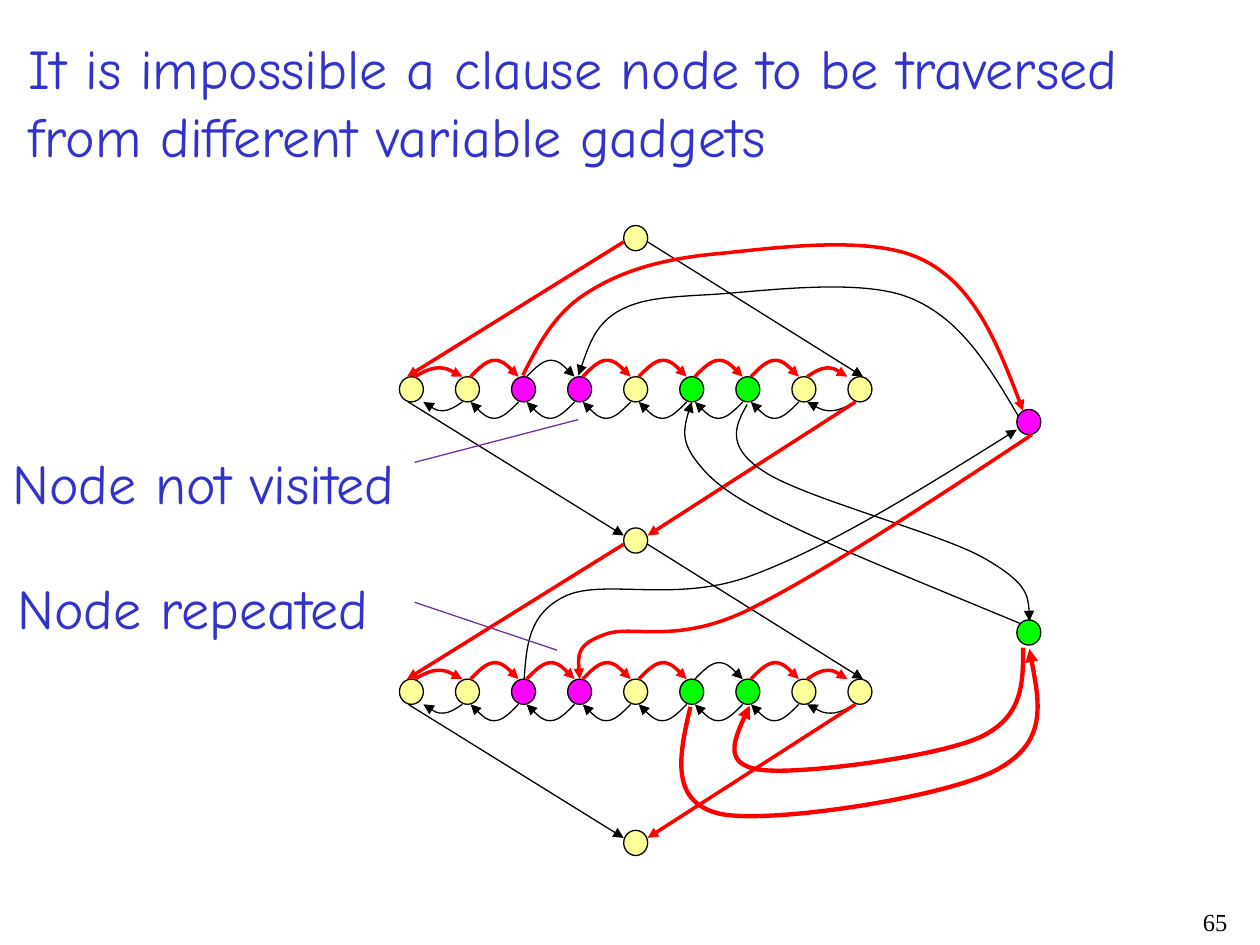
"""Build the slide on clause nodes and variable gadgets."""
import lxml.etree
import pptx
import pptx.dml.color
import pptx.enum.shapes
import pptx.enum.text
import pptx.oxml.ns
import pptx.util

Inches = pptx.util.Inches
qn = pptx.oxml.ns.qn
RGB = pptx.dml.color.RGBColor.from_string
COLORS = {"yellow": "FFFF99", "magenta": "FF00FF", "green": "00FF00", "red": "FF0000",
          "black": "000000", "blue": "3333CC", "purple": "7030A0"}
WIDTHS = {"red": 2, "black": 0.75, "purple": 0.75}
GADGET_TOPS = [1.79, 4.19]
GADGET_HEIGHT = 2.4
STEP = 0.445

prs = pptx.Presentation()
prs.slide_width, prs.slide_height = Inches(10), Inches(7.5)
s = prs.slides.add_slide(prs.slide_layouts[6])


def add_line(start, end, color, arrow=True):
    ends = [Inches(v) for v in (*start, *end)]
    sp = s.shapes.add_connector(pptx.enum.shapes.MSO_CONNECTOR.STRAIGHT, *ends)
    sp.line.color.rgb = RGB(COLORS[color])
    sp.line.width = pptx.util.Pt(WIDTHS[color])
    if arrow:
        lxml.etree.SubElement(sp.line._get_or_add_ln(), qn("a:tailEnd"), type="triangle")
    lxml.etree.SubElement(sp._element.spPr, qn("a:effectLst"))


def add_curve(points, color, width=None):
    pts = [(Inches(x), Inches(y)) for x, y in points]
    builder = s.shapes.build_freeform(*pts[0])
    builder.add_line_segments(pts[1:], close=False)
    sp = builder.convert_to_shape()
    segments = list(sp._element.iter(qn("a:lnTo")))
    for i in range(0, len(segments), 3):
        bezier = lxml.etree.Element(qn("a:cubicBezTo"))
        segments[i].addprevious(bezier)
        for segment in segments[i:i + 3]:
            bezier.append(segment[0])
            segment.getparent().remove(segment)
    sp.shadow.inherit = False
    sp.fill.background()
    sp.line.color.rgb = RGB(COLORS[color])
    sp.line.width = pptx.util.Pt(width or WIDTHS[color])
    lxml.etree.SubElement(sp.line._get_or_add_ln(), qn("a:tailEnd"), type="triangle")


row_colors = ["yellow"] * 2 + ["magenta"] * 2 + ["yellow"] + ["green"] * 2 + ["yellow"] * 2
nodes = [(4.95, 1.79 + GADGET_HEIGHT * i, "yellow") for i in range(3)]
nodes += [(8.07, 3.25, "magenta"), (8.07, 4.92, "green")]
for top in GADGET_TOPS:
    nodes += [(3.17 + STEP * i, top + 1.2, color) for i, color in enumerate(row_colors)]
for x, y, color in nodes:
    sp = s.shapes.add_shape(pptx.enum.shapes.MSO_SHAPE.OVAL,
                            Inches(x), Inches(y), Inches(0.19), Inches(0.2))
    sp.shadow.inherit = False
    sp.fill.solid()
    sp.fill.fore_color.rgb = RGB(COLORS[color])
    sp.line.color.rgb = RGB(COLORS["black"])
    sp.line.width = pptx.util.Pt(0.75)

arc = [(0, 0), (1 / 6, 0.5), (1 / 3, 1), (1 / 2, 1), (2 / 3, 1), (5 / 6, 0.5), (1, 0)]
for top, skipped in zip(GADGET_TOPS, [2, 5]):
    for i in range(8):
        left = 3.29 + STEP * i
        height = 0.07 if i in (0, 7) else 0.13
        width = 0.32 if i == 7 else 0.38
        add_curve([(left + width * u, top + 1.2 - height * v) for u, v in arc],
                  "black" if i == skipped else "red")
        width = 0.31 if i == 0 else 0.38
        right = left + 0.38
        add_curve([(right - width * u, top + 1.4 + height * v) for u, v in arc], "black")
    add_line((4.95, top + 0.13), (3.23, top + 1.2), "red")
    add_line((5.14, top + 0.13), (6.85, top + 1.2), "black")
    add_line((6.79, top + 1.4), (5.14, top + 2.46), "red")
    add_line((3.24, top + 1.4), (4.95, top + 2.46), "black")

clause_curves = [
    ("red", 2, [(4.15, 2.98), (4.27, 2.74), (4.4, 2.49), (4.65, 2.33), (4.9, 2.17),
                (5.18, 2.07), (5.63, 2.02), (6.07, 1.98), (6.9, 1.85), (7.32, 2.06),
                (7.73, 2.26), (7.93, 2.76), (8.12, 3.26)]),
    ("black", 0.75, [(8.08, 3.3), (7.85, 2.91), (7.62, 2.52), (7.21, 2.36), (6.8, 2.2),
                     (6, 2.32), (5.61, 2.34), (5.23, 2.36), (5.06, 2.38), (4.89, 2.48),
                     (4.72, 2.59), (4.66, 2.78), (4.59, 2.98)]),
    ("black", 0.75, [(8.1, 4.95), (7.38, 4.65), (6.65, 4.36), (6.21, 4.14), (5.78, 3.93),
                     (5.64, 3.81), (5.52, 3.65), (5.4, 3.49), (5.44, 3.34), (5.49, 3.19)]),
    ("black", 0.75, [(5.93, 3.21), (5.84, 3.37), (5.75, 3.54), (6.06, 3.74), (6.37, 3.95),
                     (7.46, 4.23), (7.81, 4.43), (8.16, 4.63), (8.17, 4.78), (8.17, 4.93)]),
    ("black", 0.75, [(4.16, 5.39), (4.18, 5.13), (4.19, 4.87), (4.49, 4.73), (4.79, 4.59),
                     (5.37, 4.79), (5.96, 4.57), (6.56, 4.35), (7.32, 3.88), (8.07, 3.41)]),
    ("red", 2, [(8.19, 3.45), (7.33, 4.02), (6.46, 4.59), (5.9, 4.86), (5.33, 5.12),
                (5, 4.95), (4.79, 5.04), (4.57, 5.12), (4.59, 5.25), (4.6, 5.39)]),
    ("red", 2.5, [(5.48, 5.61), (5.39, 5.99), (5.31, 6.37), (5.72, 6.46), (6.12, 6.54),
                  (7.5, 6.33), (7.91, 6.11), (8.32, 5.89), (8.24, 5.52), (8.17, 5.15)]),
    ("red", 2.5, [(8.12, 5.14), (8.12, 5.42), (8.12, 5.69), (7.78, 5.85), (7.43, 6.01),
                  (6.34, 6.15), (6.04, 6.11), (5.74, 6.07), (5.84, 5.83), (5.95, 5.6)]),
]
for color, width, points in clause_curves:
    add_curve(points, color, width)

add_line((3.29, 3.67), (4.59, 3.33), "purple", arrow=False)
add_line((3.29, 4.78), (4.42, 5.16), "purple", arrow=False)

LEFT, RIGHT = pptx.enum.text.PP_ALIGN.LEFT, pptx.enum.text.PP_ALIGN.RIGHT
title = ["It is impossible a clause node to be traversed", "from different variable gadgets"]
texts = [
    (0.13, 0.22, 9.89, 1.18, title, "Comic Neue", 32, "blue", LEFT),
    (0, 3.51, 3.67, 0.64, ["Node not visited"], "Comic Neue", 32, "blue", LEFT),
    (0.04, 4.5, 3.34, 0.64, ["Node repeated"], "Comic Neue", 32, "blue", LEFT),
    (7.76, 7.15, 2.08, 0.33, ["65"], "Times New Roman", 14, "black", RIGHT),
]
for x, y, w, h, lines, font, size, color, align in texts:
    tf = s.shapes.add_textbox(Inches(x), Inches(y), Inches(w), Inches(h)).text_frame
    tf.word_wrap = True
    for i, line in enumerate(lines):
        p = tf.add_paragraph() if i else tf.paragraphs[0]
        p.alignment = align
        r = p.add_run()
        r.text = line
        r.font.name = font
        r.font.size = pptx.util.Pt(size)
        r.font.color.rgb = RGB(COLORS[color])

prs.save("out.pptx")
